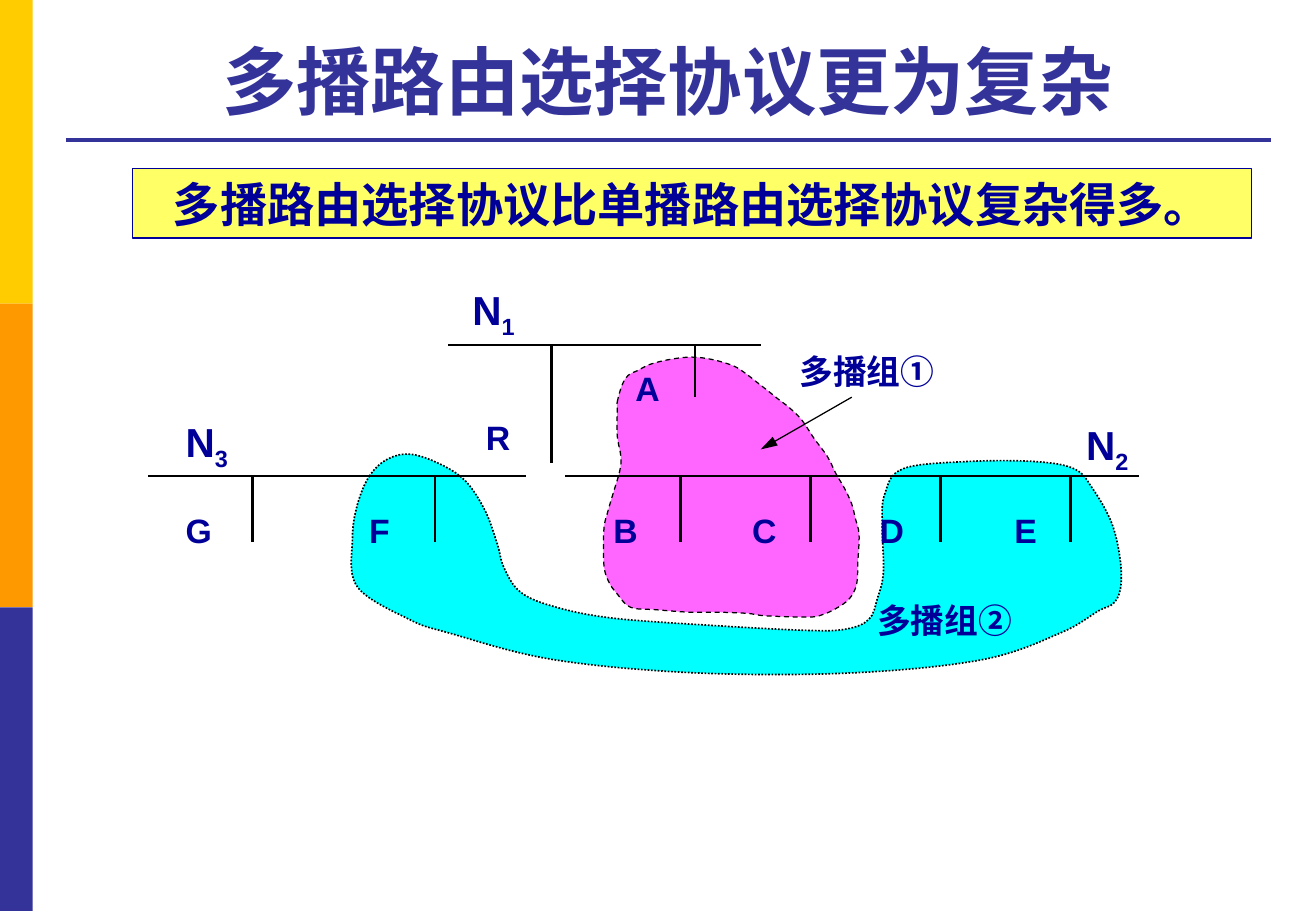
from dataclasses import dataclass

from lxml.etree import Element, SubElement
from pptx import Presentation
from pptx.dml.color import RGBColor
from pptx.enum.dml import MSO_LINE
from pptx.enum.shapes import MSO_CONNECTOR, MSO_SHAPE
from pptx.enum.text import MSO_ANCHOR, MSO_AUTO_SIZE, PP_ALIGN
from pptx.oxml.ns import qn
from pptx.util import Inches, Pt


@dataclass(frozen=True)
class Theme:
    font: str = "Arial"
    title: str = "333399"
    text: str = "000099"
    line: str = "000000"
    banner: str = "FFFF66"
    group_one: str = "FF66FF"
    group_two: str = "00FFFF"
    bands: tuple = ("FFCC00", "FF9900", "333399")
    title_size: int = 44
    banner_size: int = 28
    network_size: int = 24
    label_size: int = 20


@dataclass(frozen=True)
class Box:
    left: float
    top: float
    width: float
    height: float

    def at(self, x, y):
        return Inches(self.left + x), Inches(self.top + y)

    def lengths(self):
        return [Inches(v) for v in (self.left, self.top, self.width, self.height)]


THEME = Theme()
GROUP_ONE = [
    (4.08, 1.31), (4.12, 1.17), (4.17, 1.09), (4.25, 1.05), (4.35, 1), (4.51, .96),
    (4.69, .94), (4.86, .96), (5.03, 1.01), (5.13, 1.07), (5.22, 1.14), (5.31, 1.21),
    (5.41, 1.29), (5.5, 1.36), (5.6, 1.46), (5.7, 1.61), (5.81, 1.76), (5.88, 1.9),
    (5.95, 2.02), (6.01, 2.15), (6.04, 2.27), (6.07, 2.4), (6.06, 2.63), (6.05, 2.81),
    (5.99, 2.93), (5.88, 3.01), (5.77, 3.06), (5.66, 3.08), (5.3, 3.07), (5.15, 3.05),
    (4.9, 3.04), (4.67, 3.04), (4.4, 3.02), (4.19, 3), (4.08, 2.89), (4.01, 2.79),
    (3.97, 2.65), (3.97, 2.36), (4, 2.22), (4.05, 2.05), (4.1, 1.88), (4.11, 1.76),
    (4.08, 1.59), (4.08, 1.38),
]
GROUP_TWO = [
    (2.04, 1.92), (2.19, 1.78), (2.38, 1.74), (2.62, 1.82), (2.83, 1.96), (2.99, 2.2),
    (3.09, 2.47), (3.15, 2.68), (3.29, 2.88), (3.58, 3), (4.05, 3.09), (4.87, 3.15),
    (5.64, 3.19), (5.96, 3.18), (6.15, 3.1), (6.22, 2.93), (6.27, 2.71), (6.26, 2.33),
    (6.28, 2.07), (6.43, 1.86), (6.96, 1.8), (7.51, 1.8), (7.84, 1.86), (7.99, 2.02),
    (8.15, 2.31), (8.22, 2.62), (8.22, 2.85), (8.16, 2.97), (8.04, 3.03), (7.73, 3.21),
    (7.09, 3.43), (6.01, 3.54), (4.73, 3.54), (3.55, 3.43), (2.69, 3.21), (2.37, 3.1),
    (1.94, 2.83), (1.9, 2.44), (1.94, 2.16),
]


def apply(target, **formats):
    for name, value in formats.items():
        setattr(target, name, value)


def add_span(para, text, size, color=THEME.text):
    span = para.add_run()
    span.text = text
    apply(span.font, name=THEME.font, size=Pt(size), bold=True)
    span.font.color.rgb = RGBColor.from_string(color)
    return span


def paint(shape, fill, line=None, width=0.75, dash=None):
    shape.shadow.inherit = False
    shape.fill.solid()
    shape.fill.fore_color.rgb = RGBColor.from_string(fill)
    if line is None:
        shape.line.fill.background()
        return
    shape.line.color.rgb = RGBColor.from_string(line)
    apply(shape.line, width=Pt(width), dash_style=dash)


def add_line(page, box, start, end, width=1.5, color=THEME.line):
    line = page.shapes.add_connector(MSO_CONNECTOR.STRAIGHT, *box.at(*start), *box.at(*end))
    line.line.color.rgb = RGBColor.from_string(color)
    line.line.width = Pt(width)
    SubElement(line._element.spPr, qn("a:effectLst"))
    return line


def add_label(page, box, text, x, y, width=0.41, subscript=None):
    size = THEME.network_size if subscript else THEME.label_size
    label = page.shapes.add_textbox(*box.at(x, y), Inches(width), Inches(size * 0.02 + 0.03))
    apply(label.text_frame, word_wrap=False, auto_size=MSO_AUTO_SIZE.SHAPE_TO_FIT_TEXT)
    para = label.text_frame.paragraphs[0]
    add_span(para, text, size)
    if subscript:
        span = add_span(para, subscript, size)
        span.font._element.set("baseline", "-25000")


def round_corners(shape):
    sides = list(shape._element.iter(qn("a:lnTo")))
    corners = [(int(side[0].get("x")), int(side[0].get("y"))) for side in sides]
    count = len(corners)
    for index, side in enumerate(sides):
        before, start, end, after = (corners[(index + k) % count] for k in (-2, -1, 0, 1))
        leaving = [b + (c - a) / 6 for a, b, c in zip(before, start, end)]
        arriving = [c - (d - b) / 6 for b, c, d in zip(start, end, after)]
        curve = Element(qn("a:cubicBezTo"))
        for x, y in (leaving, arriving, end):
            SubElement(curve, qn("a:pt"), x=str(round(x)), y=str(round(y)))
        side.getparent().replace(side, curve)


def add_group(page, box, points, fill, width, dash):
    outline = [box.at(*point) for point in points]
    builder = page.shapes.build_freeform(*outline[0])
    builder.add_line_segments(outline[1:] + outline[:1], close=True)
    group = builder.convert_to_shape()
    round_corners(group)
    paint(group, fill, THEME.line, width, dash)


def add_side_bands(page, box):
    height = box.height / len(THEME.bands)
    for index, color in enumerate(THEME.bands):
        part = Box(box.left, box.top + index * height, box.width, height)
        paint(page.shapes.add_shape(MSO_SHAPE.RECTANGLE, *part.lengths()), color)


def add_heading(page, box):
    title = page.shapes.title
    apply(title, **dict(zip(("left", "top", "width", "height"), box.lengths())))
    apply(title.text_frame, vertical_anchor=MSO_ANCHOR.BOTTOM, word_wrap=True,
          auto_size=MSO_AUTO_SIZE.NONE)
    para = title.text_frame.paragraphs[0]
    para.alignment = PP_ALIGN.CENTER
    add_span(para, "多播路由选择协议更为复杂", THEME.title_size, THEME.title)
    rule = box.height + 0.08
    add_line(page, box, (0, rule), (box.width, rule), 2.25, THEME.title)


def add_banner(page, box):
    banner = page.shapes.add_shape(MSO_SHAPE.RECTANGLE, *box.lengths())
    paint(banner, THEME.banner, THEME.text)
    apply(banner.text_frame, word_wrap=True, vertical_anchor=MSO_ANCHOR.TOP,
          auto_size=MSO_AUTO_SIZE.SHAPE_TO_FIT_TEXT)
    para = banner.text_frame.paragraphs[0]
    para.alignment = PP_ALIGN.CENTER
    add_span(para, "多播路由选择协议比单播路由选择协议复杂得多。", THEME.banner_size)


def add_network(page, box, left, right, y, stubs):
    add_line(page, box, (left, y), (right, y))
    for x, length in stubs:
        add_line(page, box, (x, y), (x, y + length))


def add_diagram(page, box):
    add_group(page, box, GROUP_TWO, THEME.group_two, 1, MSO_LINE.ROUND_DOT)
    add_group(page, box, GROUP_ONE, THEME.group_one, 0.75, MSO_LINE.DASH)

    add_network(page, box, 2.69, 5.26, 0.84, [(3.54, 0.97), (4.72, 0.43)])
    add_network(page, box, 0.22, 3.33, 1.92, [(1.08, 0.54), (2.58, 0.54)])
    add_network(page, box, 3.65, 8.37, 1.92, [(4.6 + 1.07 * i, 0.54) for i in range(4)])

    for number, x, y in (("1", 2.79, 0.3), ("2", 7.84, 1.41), ("3", 0.43, 1.38)):
        add_label(page, box, "N", x, y, 0.57, number)
    for host, x in (("G", 0.43), ("F", 1.94), ("B", 3.95), ("C", 5.09), ("D", 6.14), ("E", 7.25)):
        add_label(page, box, host, x, 2.15)
    add_label(page, box, "A", 4.13, 0.98)
    add_label(page, box, "R", 2.9, 1.38)
    add_label(page, box, "多播组①", 5.48, 0.84, 1.33)
    add_label(page, box, "多播组②", 6.12, 2.89, 1.33)

    arrow = add_line(page, box, (6.01, 1.27), (5.26, 1.7), 0.75)
    SubElement(arrow.line._get_or_add_ln(), qn("a:tailEnd"), type="triangle", len="lg")


def main():
    deck = Presentation()
    apply(deck, slide_width=Inches(10.83), slide_height=Inches(7.5))
    page = deck.slides.add_slide(deck.slide_layouts[5])
    add_side_bands(page, Box(0, 0, 0.27, 7.5))
    add_heading(page, Box(0.54, 0.2, 9.92, 0.87))
    add_diagram(page, Box(1, 2, 8.5, 3.6))
    add_banner(page, Box(1.09, 1.39, 9.21, 0.57))
    deck.save("out.pptx")


if __name__ == "__main__":
    main()
